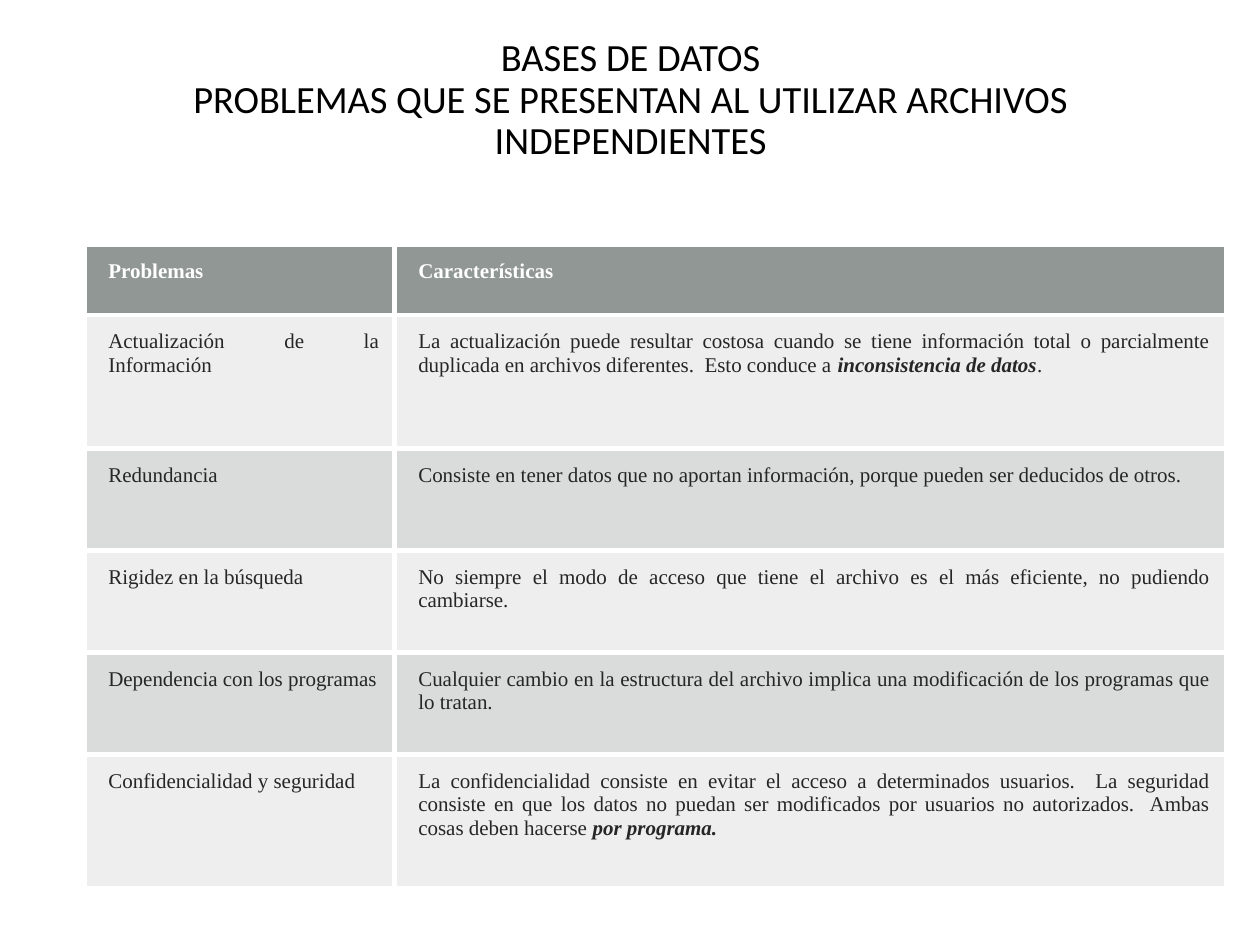
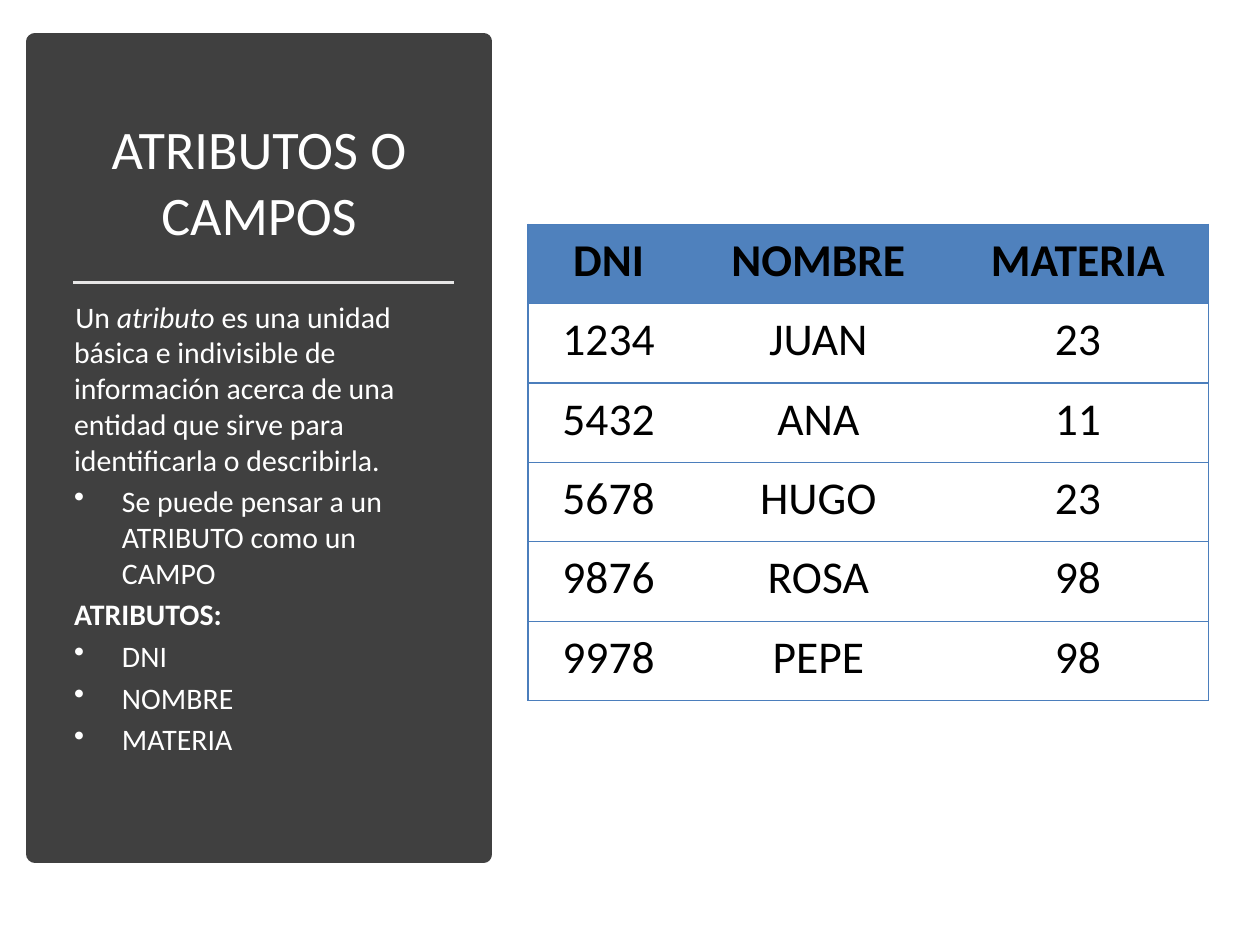
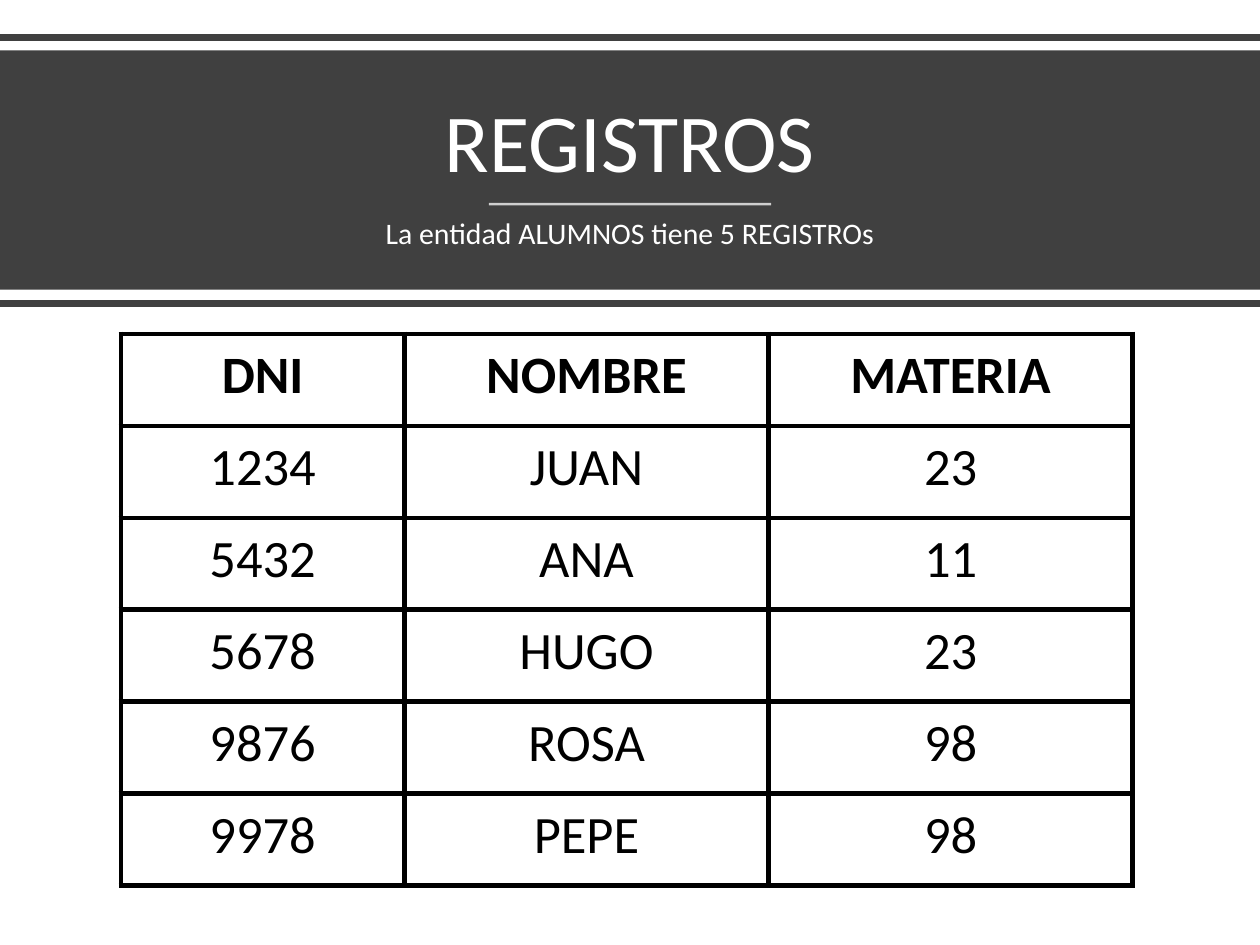
from lxml import etree
from pptx import Presentation
from pptx.dml.color import RGBColor
from pptx.enum.shapes import MSO_CONNECTOR, MSO_SHAPE
from pptx.enum.text import MSO_ANCHOR, PP_ALIGN
from pptx.oxml.ns import qn
from pptx.util import Inches, Pt

LEFT, CENTER, JUSTIFY = PP_ALIGN.LEFT, PP_ALIGN.CENTER, PP_ALIGN.JUSTIFY
TOP, MIDDLE, BOTTOM = MSO_ANCHOR.TOP, MSO_ANCHOR.MIDDLE, MSO_ANCHOR.BOTTOM
RECTANGLE = MSO_SHAPE.RECTANGLE
STRAIGHT = MSO_CONNECTOR.STRAIGHT

GRID_COLUMNS = 10
PLAIN_TABLE = "{2D5ABB26-0587-4C30-8999-92F81FD0307C}"
COLORS = {
    "white": "FFFFFF", "black": "000000", "ink": "262626", "panel": "404040",
    "rule": "E7E6E6", "head": "636B68", "band": "878E8B",
    "blue": "4F81BD", "blue line": "4B7EBC",
}

PROBLEMS = [
    ["Problemas", "Características"],
    ["Actualización de la Información",
     [("La actualización puede resultar costosa cuando se tiene información total o "
       "parcialmente duplicada en archivos diferentes.  Esto conduce a ", ""),
      ("inconsistencia de datos", "bi"), (".", "")]],
    ["Redundancia",
     "Consiste en tener datos que no aportan información, porque pueden ser deducidos de otros."],
    ["Rigidez en la búsqueda",
     "No siempre el modo de acceso que tiene el archivo es el más eficiente, "
     "no pudiendo cambiarse."],
    ["Dependencia con los programas",
     "Cualquier cambio en la estructura del archivo implica una modificación de los "
     "programas que lo tratan."],
    ["Confidencialidad y seguridad",
     [("La confidencialidad consiste en evitar el acceso a determinados usuarios.  La "
       "seguridad consiste en que los datos no puedan ser modificados por usuarios no "
       "autorizados.  Ambas cosas deben hacerse ", ""), ("por programa.", "bi")]],
]
FIELDS = ["DNI", "NOMBRE", "MATERIA"]
STUDENTS = [
    FIELDS,
    ["1234", "JUAN", "23"],
    ["5432", "ANA", "11"],
    ["5678", "HUGO", "23"],
    ["9876", "ROSA", "98"],
    ["9978", "PEPE", "98"],
]


class Designer:
    """Hold the deck's style and the current page, and draw each kind of element."""

    def __init__(self):
        self.deck = Presentation()
        self.deck.slide_width, self.deck.slide_height = Inches(10), Inches(7.5)
        self.unit = self.deck.slide_width / GRID_COLUMNS
        self.page = None

    def new_page(self):
        """Start a page on the blank layout."""
        self.page = self.deck.slides.add_slide(self.deck.slide_layouts[6])

    def grid(self, *lengths):
        """Turn grid units into slide lengths."""
        return [round(length * self.unit) for length in lengths]

    def color(self, name):
        """Look up a named colour."""
        return RGBColor.from_string(COLORS[name])

    def set_opacity(self, fill, percent):
        """Make a solid fill element partly transparent."""
        etree.SubElement(fill[0], qn("a:alpha"), val=str(percent * 1000))

    def fill_paragraph(self, para, content, size, color, font="Calibri", align=LEFT,
                       bold=False, spacing=None, before=None):
        """Fill a paragraph with plain text or with (text, marks) spans."""
        if isinstance(content, str):
            content = [(content, "")]
        para.alignment, para.line_spacing = align, spacing
        if before is not None:
            para.space_before = Pt(before)
        para.text = content[0][0]
        for text, _ in content[1:]:
            para.add_run().text = text
        marks = [content[0][1]] * (len(para.runs) - len(content) + 1)
        marks += [mark for _, mark in content[1:]]
        for span, mark in zip(para.runs, marks):
            span.font.name, span.font.size = font, Pt(size)
            span.font.color.rgb = self.color(color)
            span.font.bold = bold or "b" in mark
            span.font.italic = "i" in mark

    def text(self, area, paragraphs, anchor=TOP, **style):
        """Add a wrapped text box and return its paragraphs."""
        frame = self.page.shapes.add_textbox(*self.grid(*area)).text_frame
        frame.word_wrap, frame.vertical_anchor = True, anchor
        for index, content in enumerate(paragraphs):
            para = frame.add_paragraph() if index else frame.paragraphs[0]
            self.fill_paragraph(para, content, **style)
        return frame.paragraphs

    def indent(self, para, margin, first, bullet=False):
        """Set a paragraph's indents and its optional bullet."""
        properties = para._p.get_or_add_pPr()
        for name, length in zip(("marL", "indent"), self.grid(margin, first)):
            properties.set(name, str(length))
        if bullet:
            etree.SubElement(properties, qn("a:buChar"), char="•")

    def panel(self, area, outline=0):
        """Add a dark rectangle with an optional round-cornered outline."""
        box = self.page.shapes.add_shape(RECTANGLE, *self.grid(*area))
        box.shadow.inherit = False
        box.fill.solid()
        box.fill.fore_color.rgb = self.color("panel")
        if outline:
            box.line.color.rgb = self.color("panel")
            box.line.width = Pt(outline)
            etree.SubElement(box._element.spPr.find(qn("a:ln")), qn("a:round"))
        else:
            box.line.fill.background()

    def rule(self, left, right, height, color, width, opacity=100):
        """Add a horizontal line."""
        line = self.page.shapes.add_connector(
            STRAIGHT, *self.grid(left, height, right, height))
        line.line.color.rgb, line.line.width = self.color(color), Pt(width)
        properties = line._element.spPr
        if opacity < 100:
            self.set_opacity(next(properties.iter(qn("a:solidFill"))), opacity)
        etree.SubElement(properties, qn("a:effectLst"))

    def border(self, cell, sides, color, width):
        """Draw the named sides (L, R, T, B in this order) of a cell."""
        properties = cell._tc.get_or_add_tcPr()
        for side in sides:
            edge = etree.SubElement(properties, qn(f"a:ln{side}"), w=str(Pt(width)))
            fill = etree.SubElement(edge, qn("a:solidFill"))
            etree.SubElement(fill, qn("a:srgbClr"), val=COLORS[color])

    def fill_cell(self, cell, color, opacity=100):
        """Fill a cell, or leave it clear when no colour is given."""
        if color is None:
            cell.fill.background()
            return
        cell.fill.solid()
        cell.fill.fore_color.rgb = self.color(color)
        if opacity < 100:
            self.set_opacity(cell._tc.tcPr.find(qn("a:solidFill")), opacity)

    def table(self, corner, widths, heights, rows, insets, line, fills, text_color,
              head_color, inner_lines=True, **style):
        """Add a table; fills gives the header's fill, then those the body rows cycle."""
        area = self.grid(*corner, sum(widths), sum(heights))
        table = self.page.shapes.add_table(len(rows), len(widths), *area).table
        table.first_row = table.horz_banding = False
        table._tbl.tblPr.find(qn("a:tableStyleId")).text = PLAIN_TABLE
        for column, width in zip(table.columns, self.grid(*widths)):
            column.width = width
        for row, height in zip(table.rows, self.grid(*heights)):
            row.height = height
        head_fill, *body_fills = fills
        last = len(widths) - 1
        for r, row in enumerate(rows):
            fill = body_fills[(r - 1) % len(body_fills)] if r else head_fill
            for c, content in enumerate(row):
                cell = table.cell(r, c)
                (cell.margin_left, cell.margin_top,
                 cell.margin_right, cell.margin_bottom) = self.grid(*insets)
                sides = "L" * (inner_lines or c == 0) + "R" * (inner_lines or c == last)
                self.border(cell, sides + "TB", *line)
                self.fill_cell(cell, *fill)
                self.fill_paragraph(cell.text_frame.paragraphs[0], content, bold=r == 0,
                                    color=text_color if r else head_color, **style)


def problems_page(design):
    """Table of the problems of independent files."""
    design.new_page()
    design.text((0.83, 0.19, 8.35, 1.22),
                ["BASES DE DATOS\vPROBLEMAS QUE SE PRESENTAN AL UTILIZAR ARCHIVOS INDEPENDIENTES"],
                MIDDLE, size=22, color="black", align=CENTER, spacing=0.9)
    design.table((0.67, 1.94), (2.46, 6.6), (0.56, 1.06, 0.81, 0.81, 0.81, 1.06), PROBLEMS,
                 insets=(0.19, 0.12, 0.12, 0.12), line=("white", 3),
                 fills=[("head", 70), ("band", 15), ("band", 30)],
                 text_color="ink", head_color="white",
                 size=12, font="Times New Roman", align=JUSTIFY)


def attributes_page(design):
    """Definition of attribute beside the student table."""
    design.new_page()
    design.panel((0.28, 0.33, 3.56, 6.45), outline=10)
    design.text((0.49, 0.7, 3.13, 1.47), ["ATRIBUTOS O CAMPOS"], MIDDLE,
                size=31, color="white", align=CENTER)
    design.rule(0.58, 3.6, 2.24, "rule", 1.75)
    definition = [("Un ", ""), ("atributo", "i"),
                  (" es una unidad básica e indivisible de información acerca de una "
                   "entidad que sirve para identificarla o describirla.", "")]
    heading = [("ATRIBUTOS:", "b")]
    intro, *points = design.text(
        (0.49, 2.32, 3.13, 4.13),
        [definition, "Se puede pensar a un ATRIBUTO como un CAMPO", heading, *FIELDS],
        size=17, color="white", before=3.4)
    design.indent(intro, 0, 0.01)
    for para in points:
        design.indent(para, 0.38, -0.38, bullet=para.text != heading[0][0])
    design.table((4.19, 1.78), (1.28, 2.05, 2.07), [0.63] * len(STUDENTS), STUDENTS,
                 insets=(0.14, 0.07) * 2, line=("blue line", 0.75),
                 fills=[("blue",), (None,)], text_color="black", head_color="black",
                 inner_lines=False, size=26, align=CENTER)


def records_page(design):
    """Title band above the table of records."""
    design.new_page()
    design.panel((0, 0.4, 10, 1.9))
    for height in (0.3, 2.41):
        design.rule(0, GRID_COLUMNS, height, "panel", 4)
    centered = {"color": "white", "align": CENTER, "spacing": 0.9}
    design.text((0.43, 0.54, 9.14, 1.02), ["REGISTROS"], BOTTOM, size=47, **centered)
    design.text((1.25, 1.69, 7.5, 0.46), ["La entidad ALUMNOS tiene 5 REGISTROs"],
                size=17, before=10, **centered)
    design.rule(3.88, 6.12, 1.62, "white", 1.5, opacity=75)
    design.table((0.96, 2.65), (2.25, 2.89, 2.89), [0.73] * len(STUDENTS), STUDENTS,
                 insets=(0.17, 0.08) * 2, line=("black", 3),
                 fills=[("white",), ("white",)], text_color="black", head_color="black",
                 size=30, align=CENTER)


def main():
    """Build the three pages and save the deck."""
    design = Designer()
    problems_page(design)
    attributes_page(design)
    records_page(design)
    design.deck.save("out.pptx")


if __name__ == "__main__":
    main()
